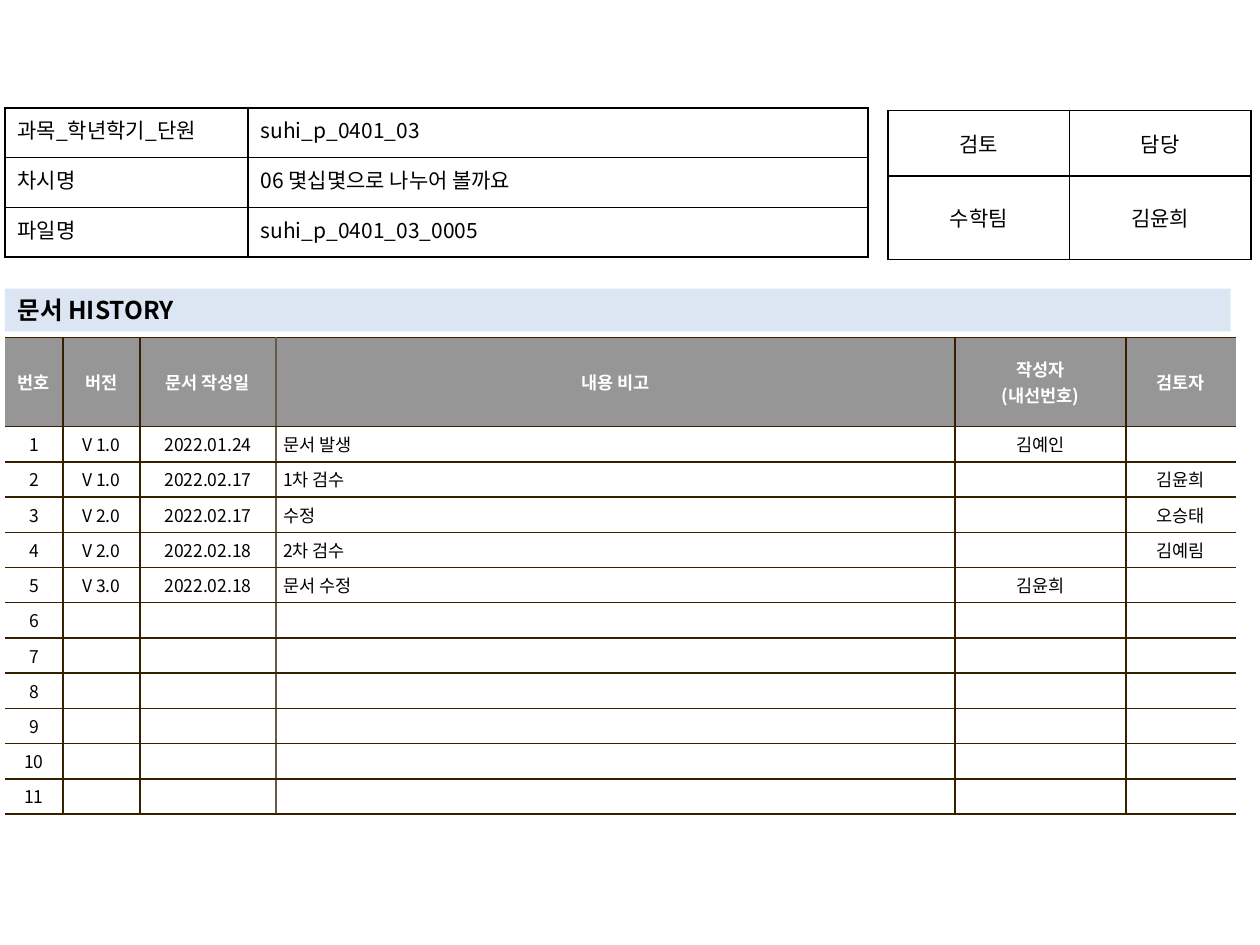
from lxml import etree
from pptx import Presentation
from pptx.dml.color import RGBColor
from pptx.enum import text
from pptx.oxml import ns
from pptx.util import Cm, Pt

FONT = "Noto Sans CJK KR"
BLACK = RGBColor(0x00, 0x00, 0x00)
WHITE = RGBColor(0xFF, 0xFF, 0xFF)
GRAY = RGBColor(0x96, 0x96, 0x96)
PALE_BLUE = RGBColor(0xDC, 0xE6, 0xF2)
BROWN = RGBColor(0x36, 0x20, 0x00)
TAUPE = RGBColor(0x64, 0x5B, 0x4C)

LEFT, CENTER, JUSTIFY = (
    text.PP_ALIGN.LEFT, text.PP_ALIGN.CENTER, text.PP_ALIGN.JUSTIFY)
TOP, MIDDLE = text.MSO_ANCHOR.TOP, text.MSO_ANCHOR.MIDDLE

HEADING = "문서 HISTORY"
INFO = [
    ("과목_학년학기_단원", "suhi_p_0401_03"),
    ("차시명", "06 몇십몇으로 나누어 볼까요"),
    ("파일명", "suhi_p_0401_03_0005"),
]
REVIEW = [("검토", "담당"), ("수학팀", "김윤희")]
HISTORY_HEAD = ("번호", "버전", "문서 작성일", "내용 비고",
                "작성자\n(내선번호)", "검토자")
HISTORY = [
    ("V 1.0", "2022.01.24", "문서 발생", "김예인", ""),
    ("V 1.0", "2022.02.17", "1차 검수", "", "김윤희"),
    ("V 2.0", "2022.02.17", "수정", "", "오승태"),
    ("V 2.0", "2022.02.18", "2차 검수", "", "김예림"),
    ("V 3.0", "2022.02.18", "문서 수정", "김윤희", ""),
]
HISTORY_ROWS = 11
NOTE_COLUMN = 3


def format_para(para, align, **formats):
    para.alignment = align
    color = formats.pop("color", BLACK)
    for span in para.runs:
        for name, value in {"name": FONT, **formats}.items():
            setattr(span.font, name, value)
        span.font.color.rgb = color
        east_asian = etree.SubElement(span.font._element, ns.qn("a:ea"))
        east_asian.set("typeface", FONT)
    if not para.runs:
        # An empty cell takes its line height from the end mark.
        end_mark = para._p.get_or_add_endParaRPr()
        end_mark.set("sz", str(int(formats["size"].pt * 100)))


def set_borders(cell, colors):
    """Draw left, right, top and bottom lines; None leaves a side open."""
    props = cell._tc.get_or_add_tcPr()
    for index, (side, color) in enumerate(zip("LRTB", colors)):
        line = etree.Element(ns.qn(f"a:ln{side}"), w=str(Pt(1)))
        if color is None:
            etree.SubElement(line, ns.qn("a:noFill"))
        else:
            fill = etree.SubElement(line, ns.qn("a:solidFill"))
            etree.SubElement(fill, ns.qn("a:srgbClr"), val=str(color))
        props.insert(index, line)


def add_grid(page, left, top, widths, heights, rows, style_cell):
    """Add a table; style_cell(cell, row, column) formats each cell."""
    frame = page.shapes.add_table(
        len(heights), len(widths), Cm(left), Cm(top),
        Cm(sum(widths)), Cm(sum(heights)))
    table = frame.table
    table.first_row = table.horz_banding = False
    for column, width in zip(table.columns, widths):
        column.width = Cm(width)
    for row, height in zip(table.rows, heights):
        row.height = Cm(height)
    for r, row in enumerate(rows):
        for c, words in enumerate(row):
            cell = table.cell(r, c)
            cell.text = words
            style_cell(cell, r, c)


def style_info(cell, row, column):
    cell.vertical_anchor = TOP
    cell.fill.background()
    set_borders(cell, [BLACK] * 4)
    format_para(cell.text_frame.paragraphs[0],
                LEFT if column else JUSTIFY, size=Pt(12))


def style_review(cell, row, column):
    cell.vertical_anchor = MIDDLE
    cell.fill.background()
    set_borders(cell, [BLACK] * 4)
    format_para(cell.text_frame.paragraphs[0], CENTER, size=Pt(12))


def style_history(cell, row, column):
    is_head = row == 0
    cell.vertical_anchor = MIDDLE
    cell.margin_left = cell.margin_right = Cm(0.15)
    cell.margin_top = cell.margin_bottom = Cm(0.1)
    cell.fill.solid()
    cell.fill.fore_color.rgb = GRAY if is_head else WHITE
    verticals = [None] + [BROWN] * (len(HISTORY_HEAD) - 1) + [None]
    verticals[NOTE_COLUMN] = TAUPE
    set_borders(cell, verticals[column:column + 2] + [BROWN] * 2)
    align = LEFT if column == NOTE_COLUMN and not is_head else CENTER
    for para in cell.text_frame.paragraphs:
        format_para(para, align, size=Pt(10), bold=is_head,
                    color=WHITE if is_head else BLACK)


def add_heading(page):
    box = page.shapes.title
    place = {"left": 0.1, "top": 5.82, "width": 24.71, "height": 0.86}
    for name, value in place.items():
        setattr(box, name, Cm(value))
    box.fill.solid()
    box.fill.fore_color.rgb = PALE_BLUE
    frame = box.text_frame
    frame.text = HEADING
    frame.auto_size = text.MSO_AUTO_SIZE.NONE
    frame.vertical_anchor = MIDDLE
    format_para(frame.paragraphs[0], LEFT, size=Pt(14), bold=True)


def main():
    deck = Presentation()
    deck.slide_width, deck.slide_height = Cm(25.4), Cm(19.05)
    page = deck.slides.add_slide(deck.slide_layouts[5])

    blank = ("",) * (len(HISTORY_HEAD) - 1)
    entries = HISTORY + [blank] * (HISTORY_ROWS - len(HISTORY))
    history = [HISTORY_HEAD] + [
        (str(number), *entry) for number, entry in enumerate(entries, 1)]

    add_heading(page)
    add_grid(page, 0.1, 6.8, [1.17, 1.55, 2.74, 13.69, 3.45, 2.21],
             [1.8] + [0.71] * HISTORY_ROWS, history, style_history)
    add_grid(page, 17.9, 2.23, [3.66] * 2, [1.32, 1.68], REVIEW, style_review)
    add_grid(page, 0.1, 2.18, [4.9, 12.5], [1.0] * 3, INFO, style_info)
    deck.save("out.pptx")


if __name__ == "__main__":
    main()
